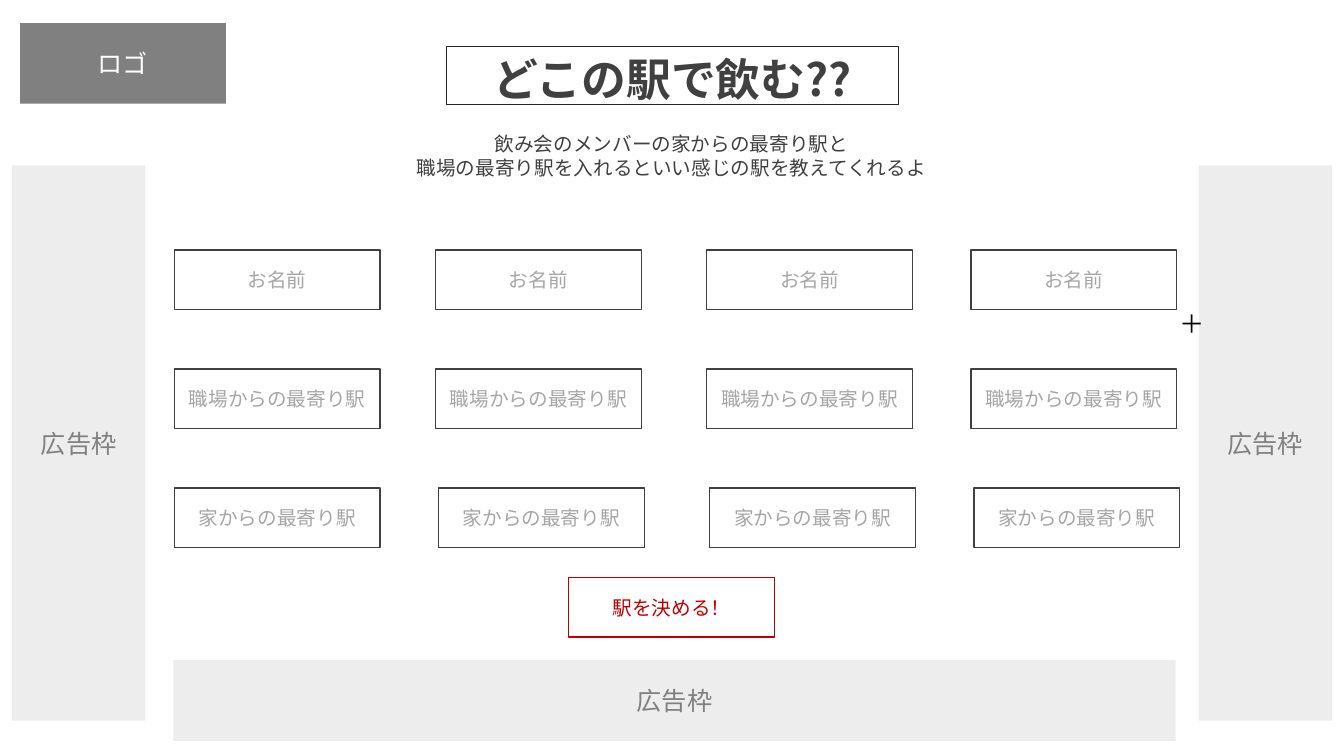
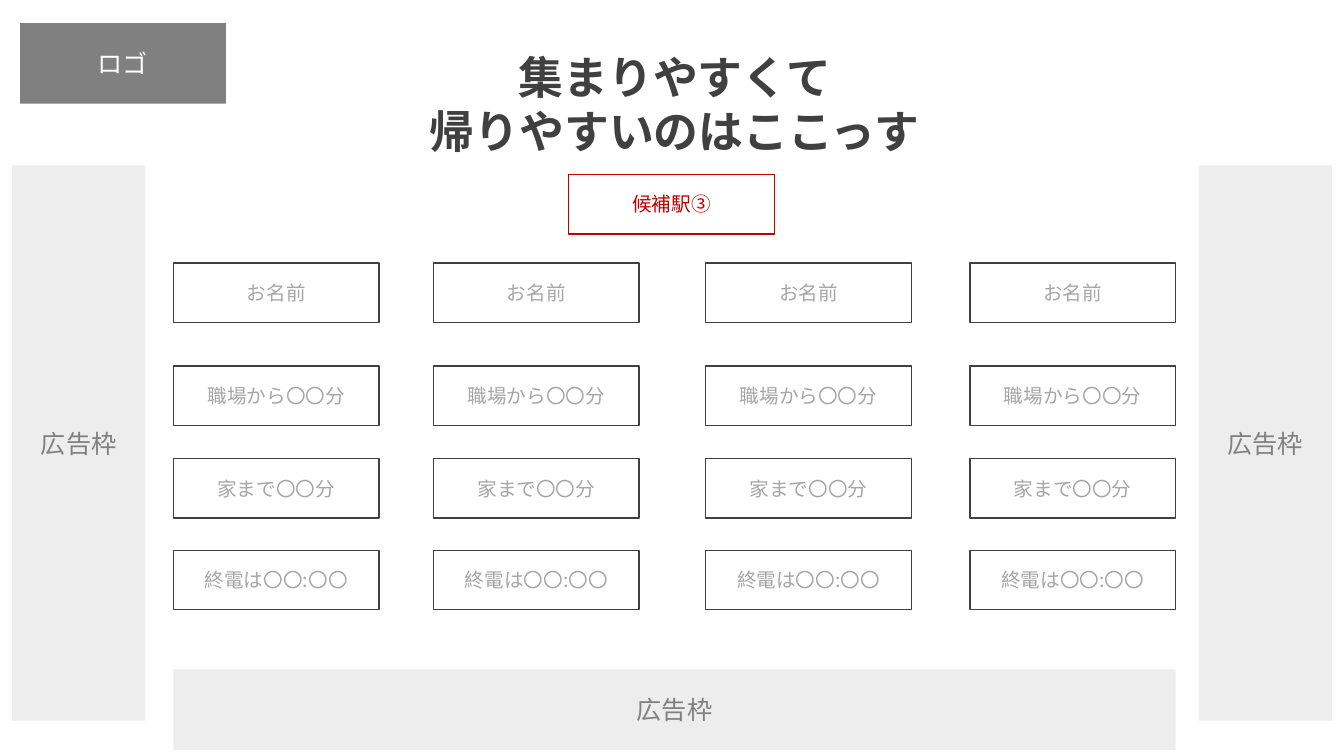
import pptx
import pptx.util
import pptx.dml.color
import pptx.enum.shapes
import pptx.enum.text
import pptx.oxml.ns
import lxml.etree

Inches = pptx.util.Inches
Pt = pptx.util.Pt
RGBColor = pptx.dml.color.RGBColor

FONT = "Noto Sans CJK JP"
WHITE = RGBColor(0xFF, 0xFF, 0xFF)
BLACK = RGBColor(0x00, 0x00, 0x00)
TITLE_BORDER = RGBColor(0x26, 0x26, 0x26)
DARK = RGBColor(0x40, 0x40, 0x40)
GRAY = RGBColor(0x80, 0x80, 0x80)
HINT = RGBColor(0xA6, 0xA6, 0xA6)
PANEL = RGBColor(0xED, 0xED, 0xED)
RED = RGBColor(0xC0, 0x00, 0x00)

FIELD_WIDTH = 2.04
FIELD_HEIGHT = 0.59
BUTTON_LEFT = 5.64
INPUT_COLUMNS = (1.73, 4.32, 7.01, 9.63)
HOME_COLUMNS = (1.73, 4.35, 7.04, 9.66)
RESULT_COLUMNS = (1.72, 4.3, 7, 9.62)


def write(frame, text, size, color, bold=False, centered=True, spacing=None):
    frame.text = text
    for paragraph in frame.paragraphs:
        if centered:
            paragraph.alignment = pptx.enum.text.PP_ALIGN.CENTER
        if spacing:
            paragraph.line_spacing = Pt(spacing)
        for run in paragraph.runs:
            run.font.size = Pt(size)
            run.font.bold = bold
            run.font.color.rgb = color
            run.font.name = FONT
            east_asian = lxml.etree.SubElement(
                run.font._element, pptx.oxml.ns.qn("a:ea"))
            east_asian.set("typeface", FONT)


def add_box(slide, place, text, size, color, fill=None, border=None):
    box = slide.shapes.add_shape(
        pptx.enum.shapes.MSO_SHAPE.RECTANGLE, *map(Inches, place))
    box.shadow.inherit = False
    if fill is None:
        box.fill.background()
    else:
        box.fill.solid()
        box.fill.fore_color.rgb = fill
    if border is None:
        box.line.fill.background()
    else:
        box.line.color.rgb = border
        box.line.width = Pt(1)
    box.text_frame.word_wrap = True
    box.text_frame.vertical_anchor = pptx.enum.text.MSO_ANCHOR.MIDDLE
    write(box.text_frame, text, size, color)


def add_field(slide, left, top, text, color=HINT, border=DARK):
    place = (left, top, FIELD_WIDTH, FIELD_HEIGHT)
    add_box(slide, place, text, 14, color, border=border)


def add_button(slide, top, text):
    add_field(slide, BUTTON_LEFT, top, text, RED, RED)


def add_fields(slide, rows):
    for text, top, columns in rows:
        for left in columns:
            add_field(slide, left, top, text)


def add_label(slide, place, text, size, color, wrap=True, **style):
    label = slide.shapes.add_textbox(*map(Inches, place))
    label.text_frame.word_wrap = wrap
    write(label.text_frame, text, size, color, **style)


def add_page(deck, title_text, title_place, banner_top):
    slide = deck.slides.add_slide(deck.slide_layouts[5])
    title = slide.shapes.title
    title.left, title.top, title.width, title.height = map(Inches, title_place)
    frame = title.text_frame
    frame.auto_size = pptx.enum.text.MSO_AUTO_SIZE.NONE
    frame.vertical_anchor = pptx.enum.text.MSO_ANCHOR.MIDDLE
    frame.margin_top = Inches(0.11)
    write(frame, title_text, 32, DARK, bold=True, spacing=38.4)

    add_box(slide, (0.2, 0.23, 2.04, 0.8), "ロゴ", 18, WHITE, fill=GRAY)
    for place in ((1.72, banner_top, 9.94, 0.8),
                  (0.12, 1.64, 1.32, 5.51),
                  (11.89, 1.64, 1.32, 5.51)):
        add_box(slide, place, "広告枠", 18, GRAY, fill=PANEL)
    return slide


def build_input_page(deck):
    slide = add_page(deck, "どこの駅で飲む??", (4.43, 0.46, 4.48, 0.58), 6.55)
    title_line = slide.shapes.title.line
    title_line.color.rgb = TITLE_BORDER
    title_line.width = Pt(1)
    add_label(slide, (3.33, 1.26, 6.66, 0.57),
              "飲み会のメンバーの家からの最寄り駅と\n"
              "職場の最寄り駅を入れるといい感じの駅を教えてくれるよ",
              14, DARK, spacing=16.8)
    add_fields(slide, (
        ("お名前", 2.48, INPUT_COLUMNS),
        ("職場からの最寄り駅", 3.66, INPUT_COLUMNS),
        ("家からの最寄り駅", 4.84, HOME_COLUMNS),
    ))
    add_label(slide, (11.6, 3.01, 0.45, 0.4), "＋", 18, BLACK,
              wrap=False, centered=False, spacing=21.6)
    add_button(slide, 5.73, "駅を決める！")


def build_result_page(deck):
    slide = add_page(deck, "集まりやすくて\n帰りやすいのはここっす",
                     (3.92, 0.37, 5.55, 1.26), 6.64)
    add_button(slide, 1.73, "候補駅③")
    add_fields(slide, (
        ("お名前", 2.61, RESULT_COLUMNS),
        ("職場から〇〇分", 3.63, RESULT_COLUMNS),
        ("家まで〇〇分", 4.55, RESULT_COLUMNS),
        ("終電は〇〇:〇〇", 5.46, RESULT_COLUMNS),
    ))


def main():
    deck = pptx.Presentation()
    deck.slide_width = Inches(13.33)
    deck.slide_height = Inches(7.5)
    build_input_page(deck)
    build_result_page(deck)
    deck.save("out.pptx")


if __name__ == "__main__":
    main()
